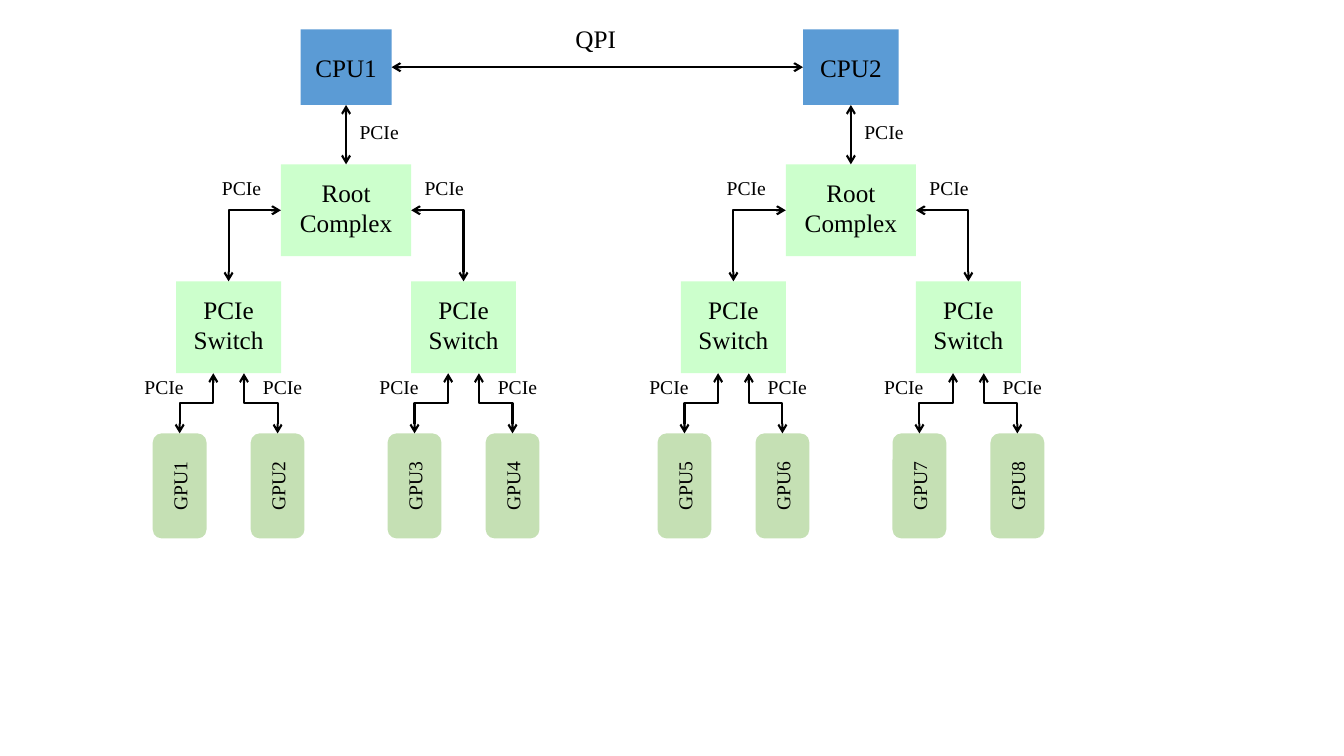
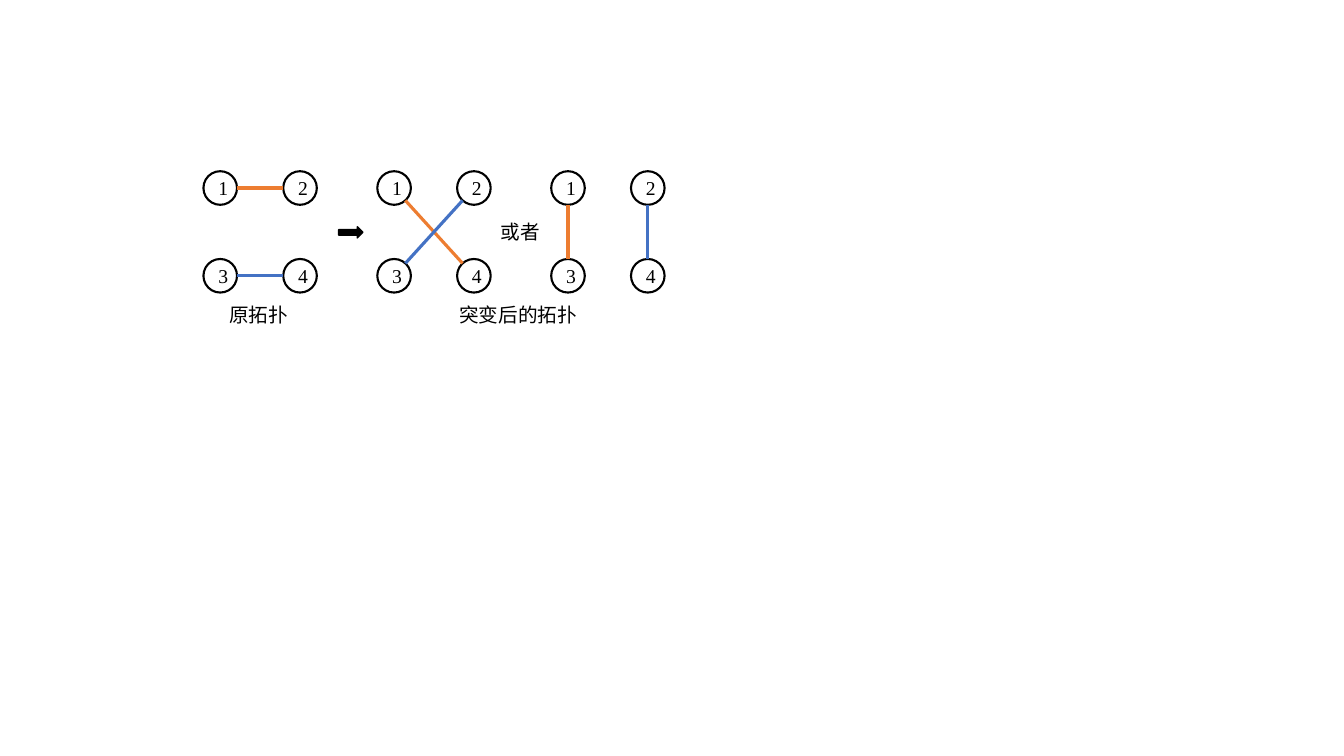
import math

import lxml.etree
import pptx
import pptx.dml.color
import pptx.enum.shapes
import pptx.enum.text
import pptx.oxml.ns
import pptx.util

Pt = pptx.util.Pt
SHAPE = pptx.enum.shapes.MSO_SHAPE
CONNECTOR = pptx.enum.shapes.MSO_CONNECTOR
ALIGN = pptx.enum.text.PP_ALIGN
qn = pptx.oxml.ns.qn

COLORS = {
    "black": "000000",
    "cpu": "5B9BD5",
    "bridge": "CCFFCC",
    "gpu": "C5E0B4",
    "orange": "ED7D31",
    "blue": "4472C4",
}
LATIN_FONT = "Times New Roman"
CHINESE_FONT = "Noto Sans CJK SC"
TOP, LEFT, BOTTOM, RIGHT = range(4)

# Topology tree: sizes and tops of each level
CPU_TOP, CPU_HEIGHT = 21, 54
ROOT_TOP, ROOT_WIDTH = 117.4, 93
SWITCH_TOP, SWITCH_WIDTH = 201, 75
BRIDGE_HEIGHT = 65.6
GPU_TOP, GPU_WIDTH, GPU_HEIGHT = 309.6, 38.4, 75
SWITCH_OFFSET, GPU_OFFSET, PORT_OFFSET = 83.9, 35, 11

# Mutation diagram: node grid
RADIUS = 12
NODE_LEFT, NODE_TOP = 157.3, 134.3
NODE_STEP_X, NODE_STEP_Y, GROUP_STEP = 57, 62.7, 124.2


def color(name):
    return pptx.dml.color.RGBColor.from_string(COLORS[name])


def write(box, text, size, font=LATIN_FONT, align=ALIGN.CENTER):
    box.text_frame.text = text
    for para in box.text_frame.paragraphs:
        para.alignment = align
        for span in para.runs:
            span.font.size = Pt(size)
            span.font.name = font
            span.font.color.rgb = color("black")
            east_asian = lxml.etree.SubElement(span.font._element, qn("a:ea"))
            east_asian.set("typeface", font)


def add_box(slide, kind, center_x, top, width, height, fill=None, outline=None):
    """Preset shape centred on center_x."""
    box = slide.shapes.add_shape(
        kind, Pt(center_x - width / 2), Pt(top), Pt(width), Pt(height))
    box.shadow.inherit = False
    if fill:
        box.fill.solid()
        box.fill.fore_color.rgb = color(fill)
    else:
        box.fill.background()
    if outline:
        box.line.color.rgb = color("black")
        box.line.width = Pt(outline)
    else:
        box.line.fill.background()
    return box


def add_label(slide, text, left, top, width=42.5, size=14, font=LATIN_FONT,
              align=ALIGN.LEFT):
    box = slide.shapes.add_textbox(Pt(left), Pt(top), Pt(width), Pt(size + 10))
    box.text_frame.word_wrap = False
    write(box, text, size, font, align)


def add_line(slide, start, end, stroke="black", width=1.5, kind=CONNECTOR.STRAIGHT,
             arrows=False):
    line = slide.shapes.add_connector(kind, *(Pt(value) for value in (*start, *end)))
    line.line.color.rgb = color(stroke)
    line.line.width = Pt(width)
    if arrows:
        for tag in ("a:headEnd", "a:tailEnd"):
            lxml.etree.SubElement(line.get_or_add_ln(), qn(tag)).set("type", "arrow")
    lxml.etree.SubElement(line._element.spPr, qn("a:effectLst"))
    return line


def join(slide, first, first_side, second, second_side):
    line = add_line(slide, (0, 0), (0, 0), arrows=True)
    line.begin_connect(first, first_side)
    line.end_connect(second, second_side)


def add_corner(slide, start, end):
    """One bend: leaves start sideways and reaches end vertically."""
    line = add_line(slide, start, end, kind=CONNECTOR.ELBOW, arrows=True)
    line._element.spPr.find(qn("a:prstGeom")).set("prst", "bentConnector2")


def add_step(slide, start, end):
    """Two bends: leaves and arrives vertically, as an elbow turned by 90 degrees."""
    center_x, center_y = (start[0] + end[0]) / 2, (start[1] + end[1]) / 2
    across, down = start[0] - center_x, start[1] - center_y
    line = add_line(slide, (center_x + down, center_y - across),
                    (center_x - down, center_y + across),
                    kind=CONNECTOR.ELBOW, arrows=True)
    line._element.spPr.find(qn("a:xfrm")).set("rot", str(90 * 60000))


def add_bridge(slide, text, center_x, top, width):
    box = add_box(slide, SHAPE.RECTANGLE, center_x, top, width, BRIDGE_HEIGHT, "bridge")
    box.text_frame.margin_bottom = Pt(8)
    write(box, text, 18)
    return box


def add_gpu(slide, number, center_x, port_x):
    box = add_box(slide, SHAPE.ROUNDED_RECTANGLE, center_x, GPU_TOP,
                  GPU_WIDTH, GPU_HEIGHT, "gpu")
    box.text_frame._txBody.bodyPr.set("vert", "vert270")
    write(box, f"GPU{number}", 14)
    add_step(slide, (center_x, GPU_TOP), (port_x, SWITCH_TOP + BRIDGE_HEIGHT))


def add_cpu_tree(slide, index, center_x, cpu_width):
    """One CPU with its root complex, two switches and four GPUs."""
    cpu = add_box(slide, SHAPE.RECTANGLE, center_x, CPU_TOP, cpu_width, CPU_HEIGHT, "cpu")
    write(cpu, f"CPU{index + 1}", 18)
    root = add_bridge(slide, "Root\nComplex", center_x, ROOT_TOP, ROOT_WIDTH)
    join(slide, cpu, BOTTOM, root, TOP)
    add_label(slide, "PCIe", center_x + 2.5, 82.4)

    for switch, (side, root_label) in enumerate(((-1, -95.8), (1, 49))):
        switch_x = center_x + side * SWITCH_OFFSET
        add_bridge(slide, "PCIe\nSwitch", switch_x, SWITCH_TOP, SWITCH_WIDTH)
        add_corner(slide, (center_x + side * ROOT_WIDTH / 2, ROOT_TOP + BRIDGE_HEIGHT / 2),
                   (switch_x, SWITCH_TOP))
        add_label(slide, "PCIe", center_x + root_label, 121.9)

        for gpu, (turn, gpu_label) in enumerate(((-1, -67.2), (1, 17.4))):
            add_gpu(slide, 4 * index + 2 * switch + gpu + 1,
                    switch_x + turn * GPU_OFFSET, switch_x + turn * PORT_OFFSET)
            add_label(slide, "PCIe", switch_x + gpu_label, 263.9)
    return cpu


def add_graph(slide, group, orange_edge, blue_edge):
    """Four numbered nodes in a square with two edges."""
    centers = {}
    for index in range(4):
        row, column = divmod(index, 2)
        x = NODE_LEFT + group * GROUP_STEP + column * NODE_STEP_X
        y = NODE_TOP + row * NODE_STEP_Y
        centers[index + 1] = x, y
        node = add_box(slide, SHAPE.OVAL, x, y - RADIUS, 2 * RADIUS, 2 * RADIUS,
                       outline=1.5)
        write(node, str(index + 1), 14)

    for stroke, (first, second) in (("orange", orange_edge), ("blue", blue_edge)):
        (x1, y1), (x2, y2) = centers[first], centers[second]
        share = RADIUS / math.dist((x1, y1), (x2, y2))
        dx, dy = (x2 - x1) * share, (y2 - y1) * share
        add_line(slide, (x1 + dx, y1 + dy), (x2 - dx, y2 - dy), stroke, 2.25)


def build_topology(slide):
    cpus = [add_cpu_tree(slide, index, center_x, width)
            for index, (center_x, width) in enumerate(((247.2, 65), (607.8, 68.4)))]
    join(slide, cpus[0], RIGHT, cpus[1], LEFT)
    add_label(slide, "QPI", 404, 13, width=44, size=18)


def build_mutation(slide):
    edge_pairs = (((1, 2), (3, 4)), ((1, 4), (2, 3)), ((1, 3), (2, 4)))
    for group, edges in enumerate(edge_pairs):
        add_graph(slide, group, *edges)
    add_box(slide, SHAPE.RIGHT_ARROW, 250.6, 162, 17.3, 8, "black", outline=1)
    for text, left, top, width in (
        ("原拓扑", 156.2, 213.1, 57),
        ("突变后的拓扑", 320.4, 213.1, 99.4),
        ("或者", 350.6, 153.4, 42.5),
    ):
        add_label(slide, text, left, top, width, font=CHINESE_FONT, align=ALIGN.CENTER)


def main():
    deck = pptx.Presentation()
    deck.slide_width, deck.slide_height = Pt(960), Pt(540)
    blank_layout = deck.slide_layouts[6]
    for build in (build_topology, build_mutation):
        build(deck.slides.add_slide(blank_layout))
    deck.save("out.pptx")


if __name__ == "__main__":
    main()
